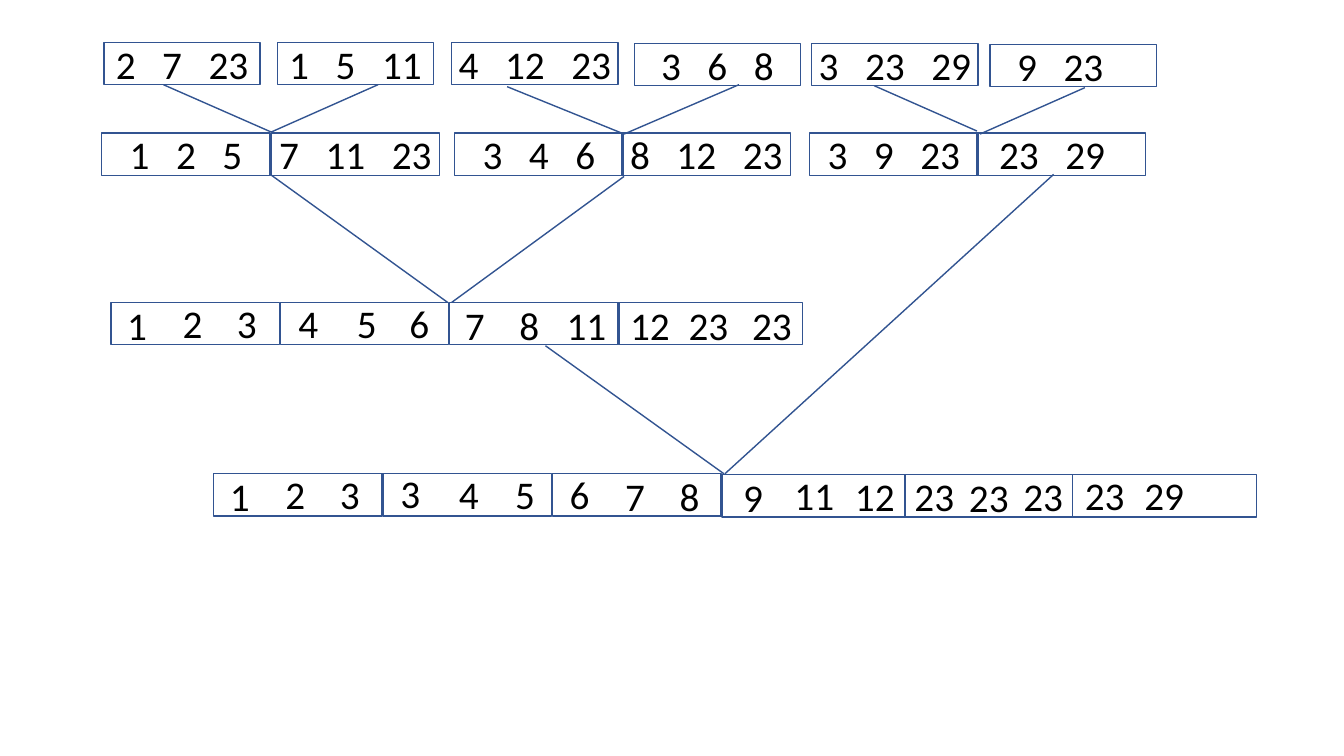
from lxml import etree
from pptx import Presentation
from pptx.dml.color import RGBColor
from pptx.enum import shapes, text
from pptx.oxml.ns import qn
from pptx.util import Inches, Pt

BLUE = RGBColor(0x32, 0x54, 0x91)
BLACK = RGBColor(0, 0, 0)
INSET = 0.02


def add_block(parent, left, top, width, height):
    block = parent.add_shape(shapes.MSO_SHAPE.RECTANGLE, Inches(left), Inches(top),
                             Inches(width), Inches(height))
    block.shadow.inherit = False
    block.fill.background()
    block.line.color.rgb = BLUE
    block.line.width = Pt(1)
    return block


def write_keys(frame, keys, align, anchor, right_inset=INSET):
    frame_format = {
        "margin_left": Inches(INSET), "margin_top": Inches(INSET),
        "margin_right": Inches(right_inset), "margin_bottom": Inches(INSET),
        "word_wrap": True, "vertical_anchor": anchor,
    }
    for name, value in frame_format.items():
        setattr(frame, name, value)
    paragraph = frame.paragraphs[0]
    paragraph.alignment = align
    run = paragraph.add_run()
    run.text = keys
    run.font.name = "Calibri"
    run.font.size = Pt(28)
    run.font.color.rgb = BLACK


prs = Presentation()
prs.slide_width, prs.slide_height = Inches(13.33), Inches(7.5)
slide = prs.slides.add_slide(prs.slide_layouts[6])

# Initial sorted runs and the first merge: left, top, width, keys, right inset
first_passes = [
    (1.03, 0.42, 1.55, "2   7   23", INSET),
    (2.75, 0.42, 1.55, "1   5   11", INSET),
    (4.48, 0.42, 1.65, "4   12   23", INSET),
    (6.29, 0.43, 1.65, "3   6   8", INSET),
    (8.05, 0.43, 1.65, "3   23   29", INSET),
    (9.82, 0.44, 1.65, "9   23", 0.28),
    (1.01, 1.32, 1.67, "1   2   5", INSET),
    (2.69, 1.32, 1.67, "7   11   23", INSET),
    (4.51, 1.32, 1.67, "3   4   6", INSET),
    (6.17, 1.32, 1.67, "8   12   23", INSET),
    (8.03, 1.32, 1.67, "3   9   23", INSET),
    (9.69, 1.32, 1.67, "23   29", 0.2),
]
for left, top, width, keys, right_inset in first_passes:
    block = add_block(slide.shapes, left, top, width, 0.42)
    write_keys(block.text_frame, keys, text.PP_ALIGN.CENTER,
               text.MSO_ANCHOR.MIDDLE, right_inset)

# Merge lines: start x, start y, end x, end y
merge_lines = [
    (1.62, 0.84, 2.69, 1.31), (3.75, 0.84, 2.69, 1.31),
    (5.03, 0.86, 6.19, 1.33), (7.33, 0.84, 6.19, 1.33),
    (8.67, 0.85, 9.69, 1.3), (10.76, 0.87, 9.72, 1.33),
    (2.68, 1.73, 4.44, 3), (6.19, 1.75, 4.48, 3),
    (5.41, 3.43, 7.18, 4.7), (10.45, 1.73, 7.19, 4.7),
]
for ends in merge_lines:
    merge_line = slide.shapes.add_connector(shapes.MSO_CONNECTOR.STRAIGHT,
                                            *[Inches(end) for end in ends])
    merge_line.line.color.rgb = BLUE
    merge_line.line.width = Pt(1)
    etree.SubElement(merge_line._element.spPr, qn("a:effectLst"))

# Later merges: blocks (left, top, width) and keys (left, top, key)
second_merge = (
    [(1.1 + 1.68 * i, 3, 1.67) for i in range(3)] + [(6.14, 3, 1.82)],
    [(1.24, 2.97, 1), (1.79, 2.95, 2), (2.33, 2.95, 3),
     (2.94, 2.95, 4), (3.52, 2.95, 5), (4.04, 2.95, 6),
     (4.59, 2.97, 7), (5.13, 2.97, 8), (5.6, 2.97, 11),
     (6.23, 2.97, 12), (6.81, 2.97, 23), (7.44, 2.97, 23)],
)
final_merge = (
    [(2.12 + 1.68 * i, 4.7, 1.67) for i in range(3)]
    + [(7.16, 4.71, 1.82), (8.97, 4.71, 1.67), (10.64, 4.71, 1.82)],
    [(2.26, 4.67, 1), (2.81, 4.65, 2), (3.35, 4.65, 3),
     (3.95, 4.64, 3), (4.53, 4.65, 4), (5.09, 4.65, 5),
     (5.63, 4.65, 6), (6.18, 4.67, 7), (6.72, 4.67, 8),
     (7.35, 4.68, 9), (7.86, 4.66, 11), (8.46, 4.67, 12),
     (9.05, 4.67, 23), (9.59, 4.68, 23), (10.13, 4.67, 23),
     (10.74, 4.66, 23), (11.33, 4.66, 29)],
)
final_group = slide.shapes.add_group_shape()
for parent, (blocks, keys) in ((slide.shapes, second_merge),
                               (final_group.shapes, final_merge)):
    for left, top, width in blocks:
        add_block(parent, left, top, width, 0.42)
    for left, top, key in keys:
        width = 0.42 if key < 10 else 0.52
        label = parent.add_textbox(Inches(left), Inches(top), Inches(width), Inches(0.51))
        write_keys(label.text_frame, str(key), text.PP_ALIGN.LEFT, text.MSO_ANCHOR.TOP)
        label.text_frame.auto_size = text.MSO_AUTO_SIZE.SHAPE_TO_FIT_TEXT

prs.save("out.pptx")
